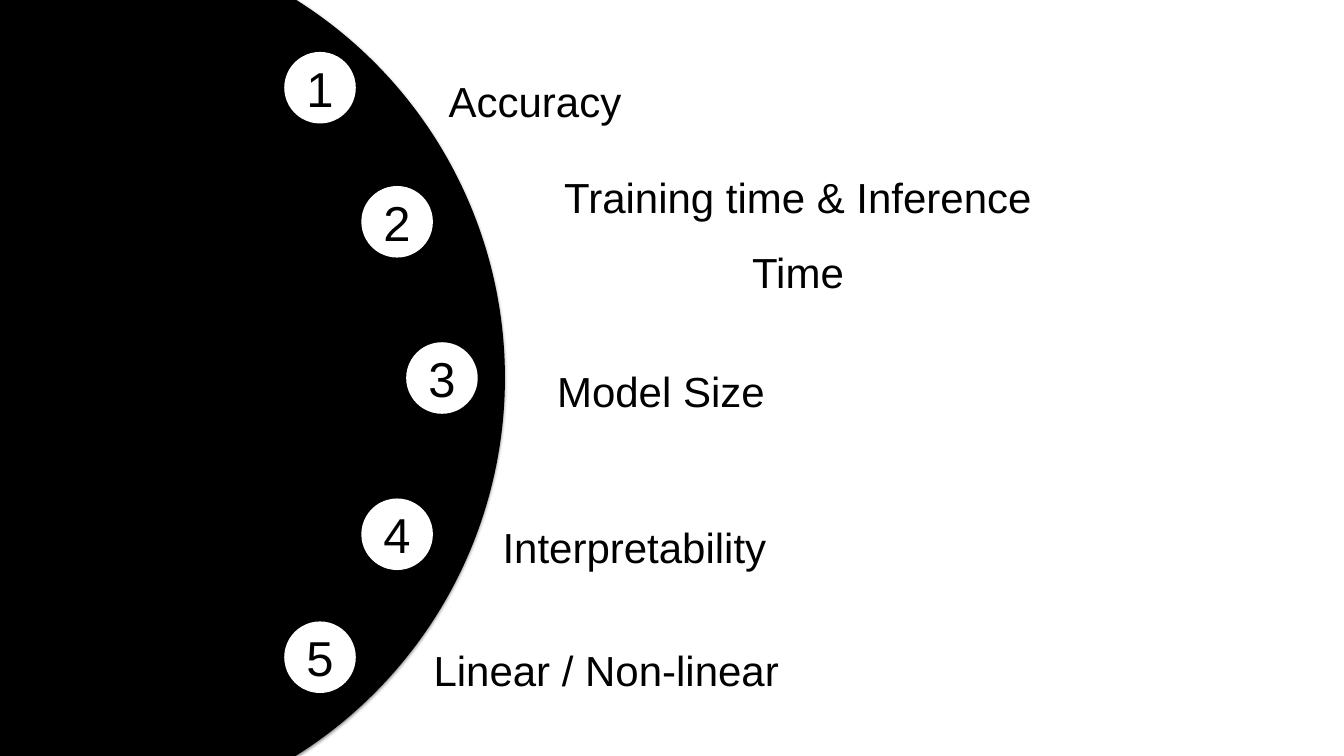
from dataclasses import dataclass

from lxml import etree
from pptx import Presentation
from pptx.dml.color import RGBColor
from pptx.enum import shapes, text
from pptx.oxml import ns
from pptx.util import Inches, Pt


@dataclass(frozen=True)
class Theme:
    ink: RGBColor = RGBColor(0, 0, 0)
    paper: RGBColor = RGBColor(255, 255, 255)
    font: str = "Arial"
    number_size: int = 70
    label_size: int = 60
    line_spacing: float = 1.5
    inset: float = 0.06
    badge: float = 1.42
    label_height: float = 1.11


THEME = Theme()

# label, row centre, badge left, label left, label width
CRITERIA = [
    ("Accuracy", 1.74, 5.64, 8.77, 3.69),
    ("Training time & Inference Time", 4.4, 7.17, 10.12, 11.43),
    ("Model Size", 7.5, 8.06, 10.99, 4.25),
    ("Interpretability", 10.6, 7.17, 9.87, 5.44),
    ("Linear / Non-linear", 13.04, 5.64, 8.54, 6.98),
]


def add_shadow(circle):
    circle.shadow.inherit = False
    effects = circle._element.spPr.find(ns.qn("a:effectLst"))
    shadow = etree.SubElement(
        effects, ns.qn("a:outerShdw"), blurRad=str(Pt(5)), dist=str(Pt(2)),
        dir="5400000", rotWithShape="0")
    color = etree.SubElement(shadow, ns.qn("a:srgbClr"), val=str(THEME.ink))
    etree.SubElement(color, ns.qn("a:alpha"), val="50000")


def add_circle(slide, left, top, diameter, fill):
    circle = slide.shapes.add_shape(
        shapes.MSO_SHAPE.OVAL, Inches(left), Inches(top),
        Inches(diameter), Inches(diameter))
    circle.fill.solid()
    circle.fill.fore_color.rgb = fill
    circle.line.fill.background()
    add_shadow(circle)
    return circle


def write(frame, words, size):
    frame.margin_left = frame.margin_right = Inches(THEME.inset)
    frame.margin_top = frame.margin_bottom = Inches(THEME.inset)
    frame.vertical_anchor = text.MSO_ANCHOR.MIDDLE
    frame.text = words
    paragraph = frame.paragraphs[0]
    paragraph.alignment = text.PP_ALIGN.CENTER
    font = paragraph.runs[0].font
    font.name = THEME.font
    font.size = Pt(size)
    font.color.rgb = THEME.ink
    return paragraph


def add_badge(slide, number, left, centre):
    badge = add_circle(slide, left, centre - THEME.badge / 2, THEME.badge, THEME.paper)
    write(badge.text_frame, str(number), THEME.number_size)


def add_label(slide, words, left, centre, width):
    label = slide.shapes.add_textbox(
        Inches(left), Inches(centre - THEME.label_height / 2),
        Inches(width), Inches(THEME.label_height))
    frame = label.text_frame
    write(frame, words, THEME.label_size).line_spacing = THEME.line_spacing
    frame.word_wrap = False
    frame.auto_size = text.MSO_AUTO_SIZE.SHAPE_TO_FIT_TEXT


def main():
    deck = Presentation()
    deck.slide_width, deck.slide_height = Inches(26.67), Inches(15)
    slide = deck.slides.add_slide(deck.slide_layouts[6])
    slide.background.fill.solid()
    slide.background.fill.fore_color.rgb = THEME.paper

    add_circle(slide, -7.69, -1.36, 17.71, THEME.ink)
    for number, (words, centre, badge_left, label_left, width) in enumerate(CRITERIA, 1):
        add_badge(slide, number, badge_left, centre)
        add_label(slide, words, label_left, centre, width)
    deck.save("out.pptx")


if __name__ == "__main__":
    main()
